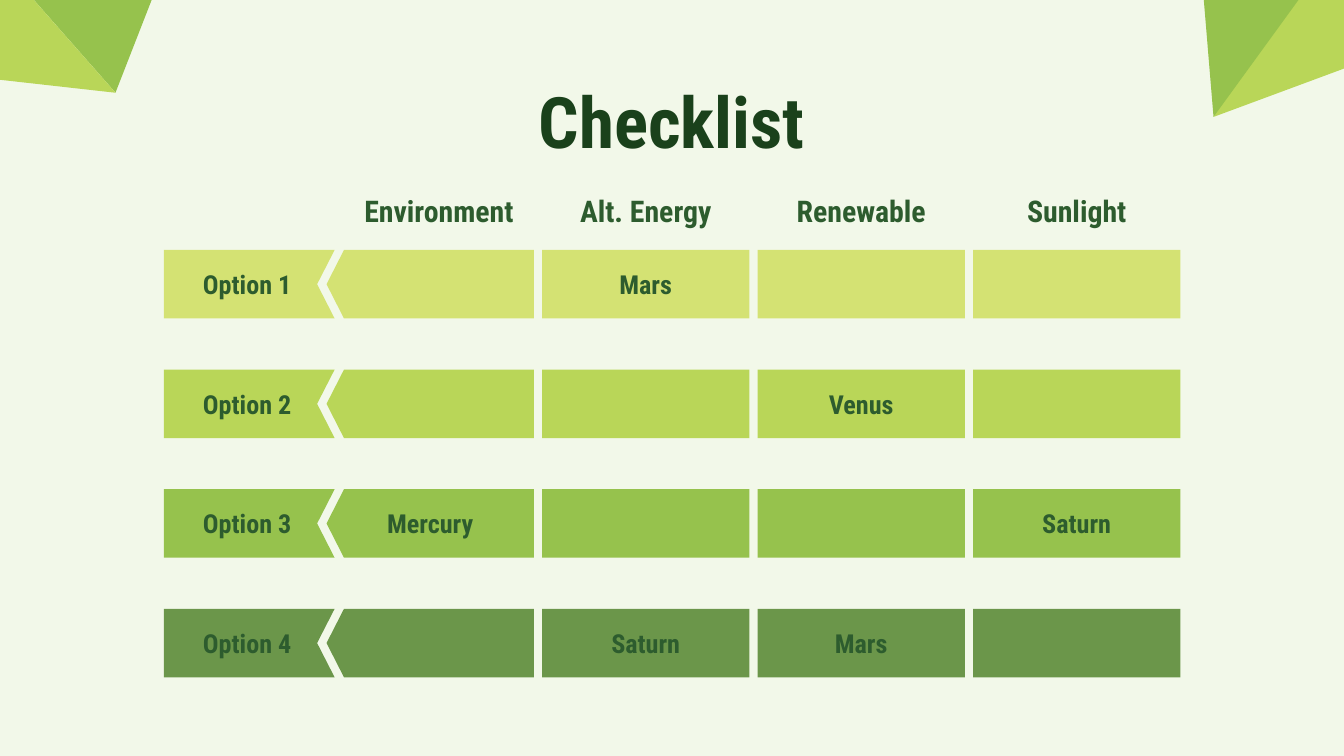
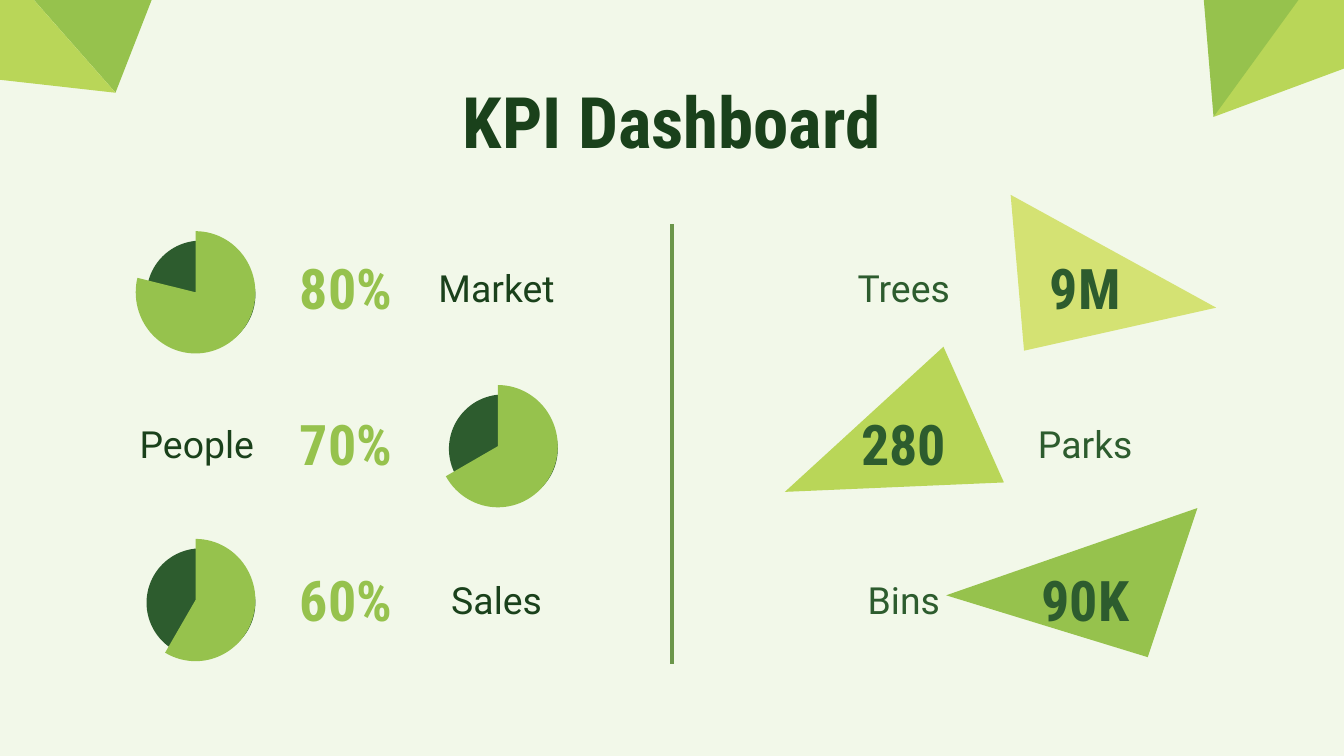
from dataclasses import dataclass, field

from lxml.etree import SubElement
from pptx import Presentation
from pptx.dml.color import RGBColor as Rgb
from pptx.enum.shapes import MSO_CONNECTOR as Link, MSO_SHAPE as Form
from pptx.enum.text import MSO_ANCHOR as Anchor, MSO_AUTO_SIZE as Fit, PP_ALIGN as Align
from pptx.oxml.ns import qn
from pptx.util import Inches, Pt

WIDE, HIGH = 10, 5.625


@dataclass
class Theme:
    page: str = "F2F8E9"
    deep: str = "1A411B"
    dark: str = "2D5C2E"
    lime: str = "B9D658"
    leaf: str = "96C24D"
    moss: str = "6B964A"
    pale: str = "D4E273"
    text: dict = field(default_factory=dict)

    def __post_init__(self):
        slim, body = "Roboto Condensed", "Roboto"
        for kind, face, size, ink in (
            ("title", slim, 38, self.deep),
            ("head", slim, 16, self.dark),
            ("cell", slim, 14, self.dark),
            ("share", slim, 30, self.leaf),
            ("count", slim, 30, self.dark),
            ("left", body, 20, self.deep),
            ("right", body, 20, self.dark),
        ):
            self.text[kind] = {"name": face, "size": Pt(size), "bold": face == slim, "ink": ink}


theme = Theme()


def draw(slide, fill, where, form=None):
    """Add a preset form in the box `where`, or else a polygon through its points."""
    if form is not None:
        shape = slide.shapes.add_shape(form, *map(Inches, where))
    else:
        spots = [(Inches(x), Inches(y)) for x, y in where]
        pen = slide.shapes.build_freeform(*spots[0])
        pen.add_line_segments(spots[1:], close=True)
        shape = pen.convert_to_shape()
    shape.shadow.inherit = False
    shape.fill.solid()
    shape.fill.fore_color.rgb = Rgb.from_string(fill)
    shape.line.fill.background()
    return shape


def write(shape, text, kind, align=Align.CENTER, anchor=Anchor.MIDDLE, inset=0.1):
    frame = shape.text_frame
    frame.text = text
    setup = {"word_wrap": True, "auto_size": Fit.NONE, "vertical_anchor": anchor,
             "margin_left": Inches(inset)}
    setup |= {f"margin_{side}": Inches(0.1) for side in ("top", "right", "bottom")}
    for key, value in setup.items():
        setattr(frame, key, value)
    line = frame.paragraphs[0]
    line.alignment = align
    font = line.runs[0].font
    for key, value in theme.text[kind].items():
        if key == "ink":
            font.color.rgb = Rgb.from_string(value)
        else:
            setattr(font, key, value)


deck = Presentation()
deck.slide_width, deck.slide_height = Inches(WIDE), Inches(HIGH)
layout = deck.slide_layouts[5]
layout.background.fill.solid()
layout.background.fill.fore_color.rgb = Rgb.from_string(theme.page)

# Slides and titles
slides = []
for name in ("Checklist", "KPI Dashboard"):
    slide = deck.slides.add_slide(layout)
    title = slide.shapes.title
    place = {"left": 0.78, "top": 0.48, "width": WIDE - 2 * 0.78, "height": 0.8}
    for key, value in place.items():
        setattr(title, key, Inches(value))
    write(title, name, "title", anchor=Anchor.TOP)
    slides.append(slide)
check, board = slides

# Corner facets, shared through the layout
for fill, spots in (
    (theme.lime, [(9.73, -0.4), (10.38, 0.37), (9.03, 0.87)]),
    (theme.leaf, [(8.91, -0.57), (9.88, -0.3), (9.03, 0.87)]),
    (theme.leaf, [(0.86, 0.69), (1.39, -0.67), (0.05, -0.23)]),
    (theme.lime, [(0.86, 0.69), (-0.21, 0.57), (0.05, -0.23)]),
):
    layout.shapes.element.append(draw(check, fill, spots).element)

# Checklist: a label tag and four cells in each row
heads = ("Environment", "Alt. Energy", "Renewable", "Sunlight")
rows = (
    (theme.pale, {1: "Mars"}),
    (theme.lime, {2: "Venus"}),
    (theme.leaf, {0: "Mercury", 3: "Saturn"}),
    (theme.moss, {1: "Saturn", 2: "Mars"}),
)
TAG, TIP, NOTCH = 1.22, 2.36, 0.13
LEFT, COL, GAP = 2.43, 4.81 / 3, 0.06
TOP, ROW, TALL = 1.86, 0.89, 0.51
cell = COL - GAP

for col, head in enumerate(heads):
    x = LEFT + col * COL
    start = max(x, LEFT + NOTCH)
    box = check.shapes.add_textbox(*map(Inches, (start, 1.42, x + cell - start, 0.3)))
    write(box, head, "head")

for row, (fill, marks) in enumerate(rows):
    y = TOP + row * ROW
    mid, low = y + TALL / 2, y + TALL
    edge = TIP + NOTCH
    tag = draw(check, fill, [(TAG, y), (TAG, low), (edge, low), (TIP, mid), (edge, y)])
    write(tag, f"Option {row + 1}", "cell", Align.LEFT, inset=0.29)
    for col in range(len(heads)):
        x = LEFT + col * COL
        if col:
            shape = draw(check, fill, (x, y, cell, TALL), Form.RECTANGLE)
        else:
            edge, end = x + NOTCH, x + cell
            shape = draw(check, fill, [(edge, y), (x, mid), (edge, low), (end, low), (end, y)])
        if col in marks:
            write(shape, marks[col], "cell")

# Dashboard: pies on the left, triangles on the right
TOP, ROW, TALL, SPAN = 1.91, 1.16, 0.46, 1.11
NEAR, FAR = 6.17, 7.52
shares = (
    ("80%", "Market", 3.14, 1.01, 194),
    ("70%", "People", 0.91, 3.26, 150),
    ("60%", "Sales", 3.14, 1.01, 120),
)
counts = (
    ("9M", "Trees", FAR, NEAR, theme.pale, [(9.05, 2.29), (7.52, 1.45), (7.62, 2.61)]),
    ("280", "Parks", NEAR, FAR, theme.lime, [(7.02, 2.58), (5.84, 3.66), (7.47, 3.59)]),
    ("90K", "Bins", FAR, NEAR, theme.leaf, [(8.54, 4.89), (8.91, 3.78), (7.04, 4.43)]),
)
for row, (share, count) in enumerate(zip(shares, counts)):
    part, label, side, x, end = share
    y = 1.72 + row * 2.29 / 2
    draw(board, theme.dark, (x + 0.08, y + 0.07, 0.81, 0.81), Form.OVAL)
    # Form.PIE is the solid wedge; its angles are 0.6 per degree
    pie = draw(board, theme.leaf, (x, y, 0.89, 0.91), Form.PIE)
    for spot, angle in enumerate((270, end)):
        pie.adjustments[spot] = angle * 0.6

    total, name, here, there, fill, spots = count
    draw(board, fill, spots)
    for x, text, kind in (
        (2.02, part, "share"), (side, label, "left"),
        (here, total, "count"), (there, name, "right"),
    ):
        box = board.shapes.add_textbox(*map(Inches, (x, TOP + row * ROW, SPAN, TALL)))
        write(box, text, kind)

rule = board.shapes.add_connector(Link.STRAIGHT, *map(Inches, (WIDE / 2, 1.67, WIDE / 2, 4.94)))
rule.line.color.rgb = Rgb.from_string(theme.moss)
rule.line.width = Pt(2.25)
SubElement(rule.element.spPr, qn("a:effectLst"))

deck.save("out.pptx")
